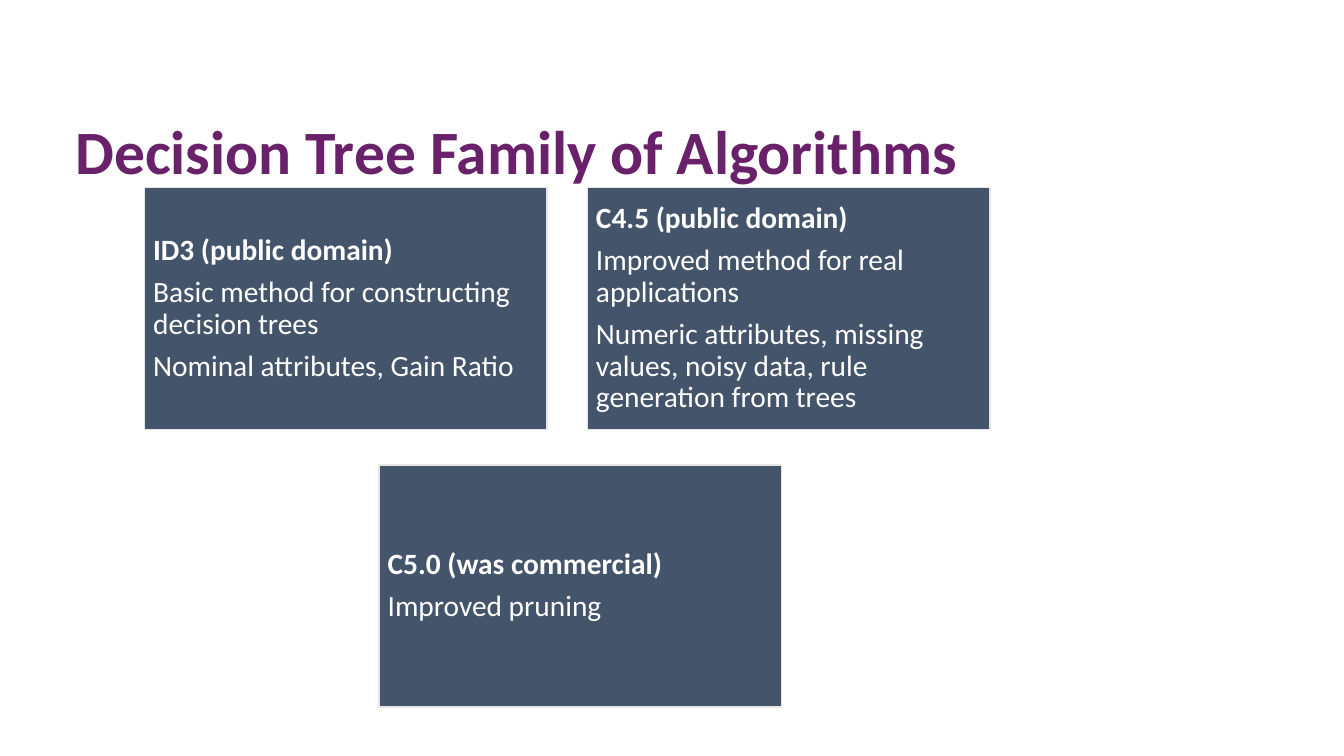
from pptx import Presentation
from pptx import util as u
from pptx.dml.color import RGBColor
from pptx.enum import shapes, text

COLOURS = {"title": "69216A", "card": "44546A", "edge": "E7E6E6", "card_text": "FFFFFF"}
CARD_WIDTH, CARD_HEIGHT = 10.15, 6.1
COLUMN_GAP, ROW_GAP = 1.01, 0.89
LOWER_SHIFT = 0.33

ID3 = ["ID3 (public domain)", "Basic method for constructing decision trees",
       "Nominal attributes, Gain Ratio"]
C45 = ["C4.5 (public domain)", "Improved method for real applications",
       "Numeric attributes, missing values, noisy data, rule generation from trees"]
C50 = ["C5.0 (was commercial)", "Improved pruning"]


def write(paragraph, wording, *, size, colour, bold=False, after=0):
    """Put formatted wording into a paragraph."""
    paragraph.alignment = text.PP_ALIGN.LEFT
    paragraph.line_spacing = 0.9
    paragraph.space_after = u.Pt(after)
    run = paragraph.add_run()
    run.text = wording
    run.font.name = "Calibri"
    run.font.size = u.Pt(size)
    run.font.bold = bold
    run.font.color.rgb = RGBColor.from_string(COLOURS[colour])


def add_heading(slide, left, top, width, height):
    """Place the slide heading in the given box."""
    heading = slide.shapes.add_textbox(u.Cm(left), u.Cm(top), u.Cm(width), u.Cm(height))
    frame = heading.text_frame
    frame.word_wrap = True
    frame.vertical_anchor = text.MSO_ANCHOR.MIDDLE
    write(frame.paragraphs[0], "Decision Tree Family of Algorithms",
          size=44, colour="title", bold=True)


def add_card(slide, lines, left, top, width, height):
    """Place one algorithm card, its first line bold."""
    card = slide.shapes.add_shape(shapes.MSO_SHAPE.RECTANGLE,
                                  u.Cm(left), u.Cm(top), u.Cm(width), u.Cm(height))
    card.shadow.inherit = False
    card.fill.solid()
    card.fill.fore_color.rgb = RGBColor.from_string(COLOURS["card"])
    card.line.color.rgb = RGBColor.from_string(COLOURS["edge"])
    card.line.width = u.Pt(1)
    frame = card.text_frame
    frame.word_wrap = True
    frame.vertical_anchor = text.MSO_ANCHOR.MIDDLE
    frame.margin_left = frame.margin_right = u.Cm(0.22)
    frame.margin_top = frame.margin_bottom = u.Cm(0.22)
    for index, line in enumerate(lines):
        paragraph = frame.add_paragraph() if index else frame.paragraphs[0]
        write(paragraph, line, size=21, colour="card_text", bold=index == 0, after=7.35)


def add_family(slide, left, top):
    """Lay out two cards above one lower card from the given corner."""
    column_step = CARD_WIDTH + COLUMN_GAP
    for column, lines in enumerate([ID3, C45]):
        add_card(slide, lines, left + column * column_step, top, CARD_WIDTH, CARD_HEIGHT)
    add_card(slide, C50, left + column_step / 2 + LOWER_SHIFT,
             top + CARD_HEIGHT + ROW_GAP, CARD_WIDTH, CARD_HEIGHT)


def main():
    """Build and save the slide."""
    deck = Presentation()
    deck.slide_width, deck.slide_height = u.Cm(33.87), u.Cm(19.05)
    slide = deck.slides.add_slide(deck.slide_layouts[6])
    add_family(slide, 3.64, 4.73)
    add_heading(slide, 1.65, 2.84, 29.21, 2.11)
    deck.save("out.pptx")


if __name__ == "__main__":
    main()
